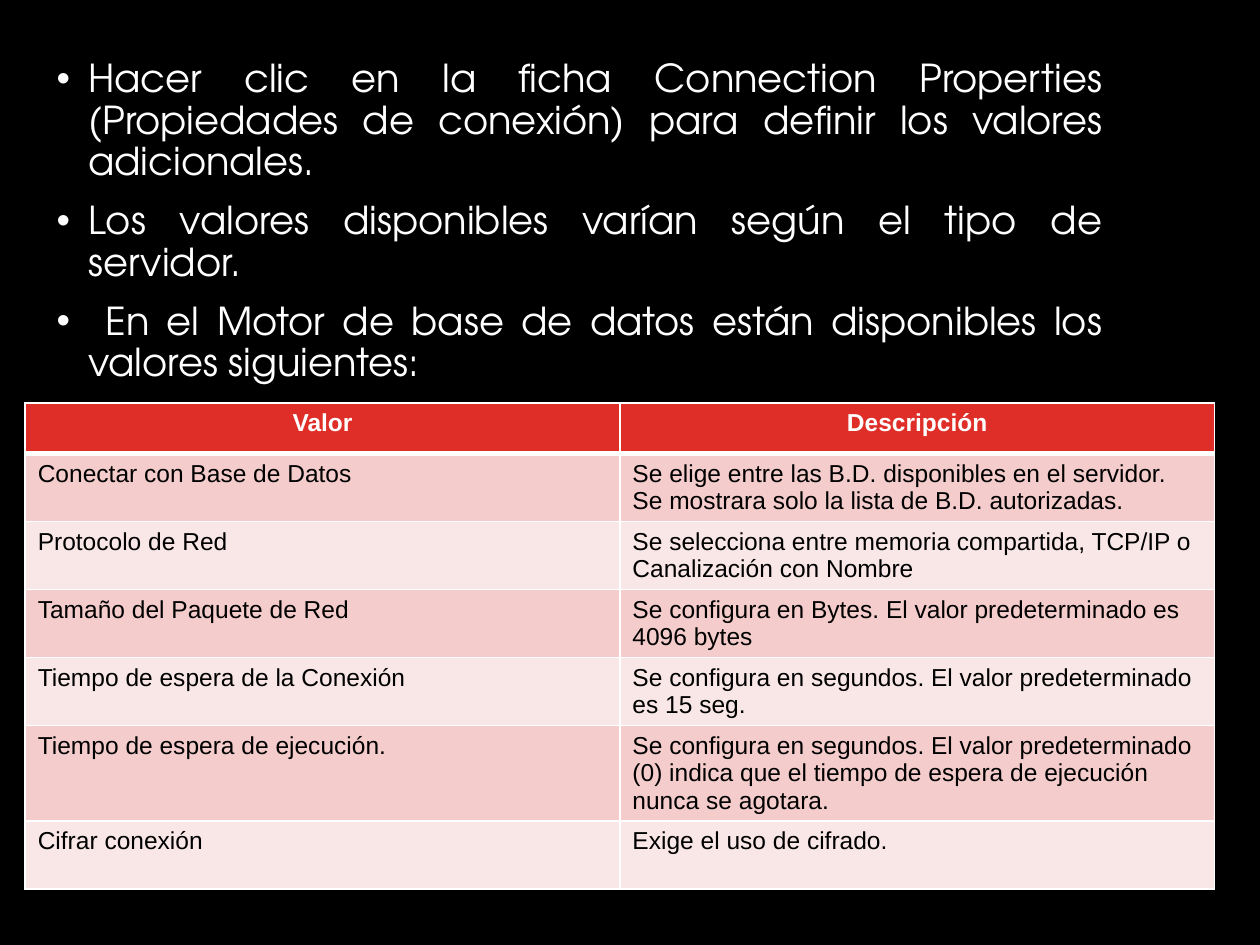
"""Build the slide on connection properties: three bullets above a table of values."""
from lxml.etree import SubElement
from pptx import Presentation
from pptx.dml.color import RGBColor
from pptx.enum.text import MSO_ANCHOR, MSO_AUTO_SIZE, PP_ALIGN
from pptx.oxml import parse_xml
from pptx.oxml.ns import nsdecls, qn
from pptx.util import Inches, Pt

BLACK = RGBColor(0x00, 0x00, 0x00)
WHITE = RGBColor(0xFF, 0xFF, 0xFF)
RED = RGBColor(0xDF, 0x2E, 0x28)
BANDS = (RGBColor(0xF3, 0xCC, 0xCB), RGBColor(0xF9, 0xE7, 0xE7))

STEPS = [
    "Hacer clic en la ficha Connection Properties (Propiedades de conexión) "
    "para definir los valores adicionales. ",
    "Los valores disponibles varían según el tipo de servidor.",
    " En el Motor de base de datos están disponibles los valores siguientes:",
]
HEADINGS = ("Valor", "Descripción")
VALUES = [
    ("Conectar con Base de Datos",
     "Se elige entre las B.D. disponibles en el servidor. "
     "Se mostrara solo la lista de B.D. autorizadas."),
    ("Protocolo de Red",
     "Se selecciona entre memoria compartida, TCP/IP o Canalización con Nombre"),
    ("Tamaño del Paquete de Red",
     "Se configura en Bytes. El valor predeterminado es 4096 bytes"),
    ("Tiempo de espera de la Conexión",
     "Se configura en segundos. El valor predeterminado es 15 seg."),
    ("Tiempo de espera de ejecución.",
     "Se configura en segundos. El valor predeterminado (0) indica que el tiempo "
     "de espera de ejecución nunca se agotara."),
    ("Cifrar conexión", "Exige el uso de cifrado."),
]
ROW_HEIGHTS = (0.4, 0.54, 0.54, 0.54, 0.54, 0.75, 0.54)
COLUMN_WIDTH = 4.72


def write(paragraph, text, *, font="Arial", size=14, color=BLACK, bold=False,
          align=PP_ALIGN.LEFT):
    paragraph.alignment = align
    run = paragraph.add_run()
    run.text = text
    run.font.name = font
    run.font.size = Pt(size)
    run.font.bold = bold
    run.font.color.rgb = color


def add_bullet(paragraph):
    properties = paragraph._p.get_or_add_pPr()
    properties.set("marL", str(Inches(0.25)))
    properties.set("indent", str(Inches(-0.25)))
    bullet_color = SubElement(properties, qn("a:buClr"))
    SubElement(bullet_color, qn("a:srgbClr"), val=str(WHITE))
    SubElement(properties, qn("a:buFont"), typeface="Arial")
    SubElement(properties, qn("a:buChar"), char="•")


def set_borders(cell, **widths):
    properties = cell._tc.get_or_add_tcPr()
    for position, side in enumerate("LRTB"):
        properties.insert(position, parse_xml(
            f'<a:ln{side} {nsdecls("a")} w="{Pt(widths.get(side, 1))}">'
            f'<a:solidFill><a:srgbClr val="{WHITE}"/></a:solidFill></a:ln{side}>'))


def fill_steps(body):
    body.left, body.top = Inches(0.35), Inches(0.42)
    body.width, body.height = Inches(8.5), Inches(4.24)
    frame = body.text_frame
    frame.word_wrap = True
    frame.auto_size = MSO_AUTO_SIZE.NONE
    frame.vertical_anchor = MSO_ANCHOR.TOP
    for index, step in enumerate(STEPS):
        paragraph = frame.add_paragraph() if index else frame.paragraphs[0]
        add_bullet(paragraph)
        paragraph.line_spacing = 0.9
        paragraph.space_before = Pt(10 if index else 0)
        write(paragraph, step, font="TeX Gyre Adventor", size=22, color=WHITE,
              align=PP_ALIGN.JUSTIFY)


def add_values(slide):
    rows = [HEADINGS, *VALUES]
    table = slide.shapes.add_table(
        len(rows), len(HEADINGS), Inches(0.2), Inches(3.2),
        Inches(COLUMN_WIDTH * len(HEADINGS)), Inches(sum(ROW_HEIGHTS))).table
    for column in table.columns:
        column.width = Inches(COLUMN_WIDTH)
    for index, (texts, height) in enumerate(zip(rows, ROW_HEIGHTS)):
        table.rows[index].height = Inches(height)
        heading = index == 0
        for cell, text in zip(table.rows[index].cells, texts):
            cell.fill.solid()
            cell.fill.fore_color.rgb = RED if heading else BANDS[(index - 1) % 2]
            set_borders(cell, B=3 if heading else 1, T=3 if index == 1 else 1)
            write(cell.text_frame.paragraphs[0], text, bold=heading,
                  color=WHITE if heading else BLACK,
                  align=PP_ALIGN.CENTER if heading else PP_ALIGN.LEFT)


def main():
    deck = Presentation()
    deck.slide_width, deck.slide_height = Inches(10), Inches(7.5)
    slide = deck.slides.add_slide(deck.slide_layouts[1])
    slide.background.fill.solid()
    slide.background.fill.fore_color.rgb = BLACK
    title = slide.shapes.title.element
    title.getparent().remove(title)
    fill_steps(slide.placeholders[1])
    add_values(slide)
    deck.save("out.pptx")


if __name__ == "__main__":
    main()
